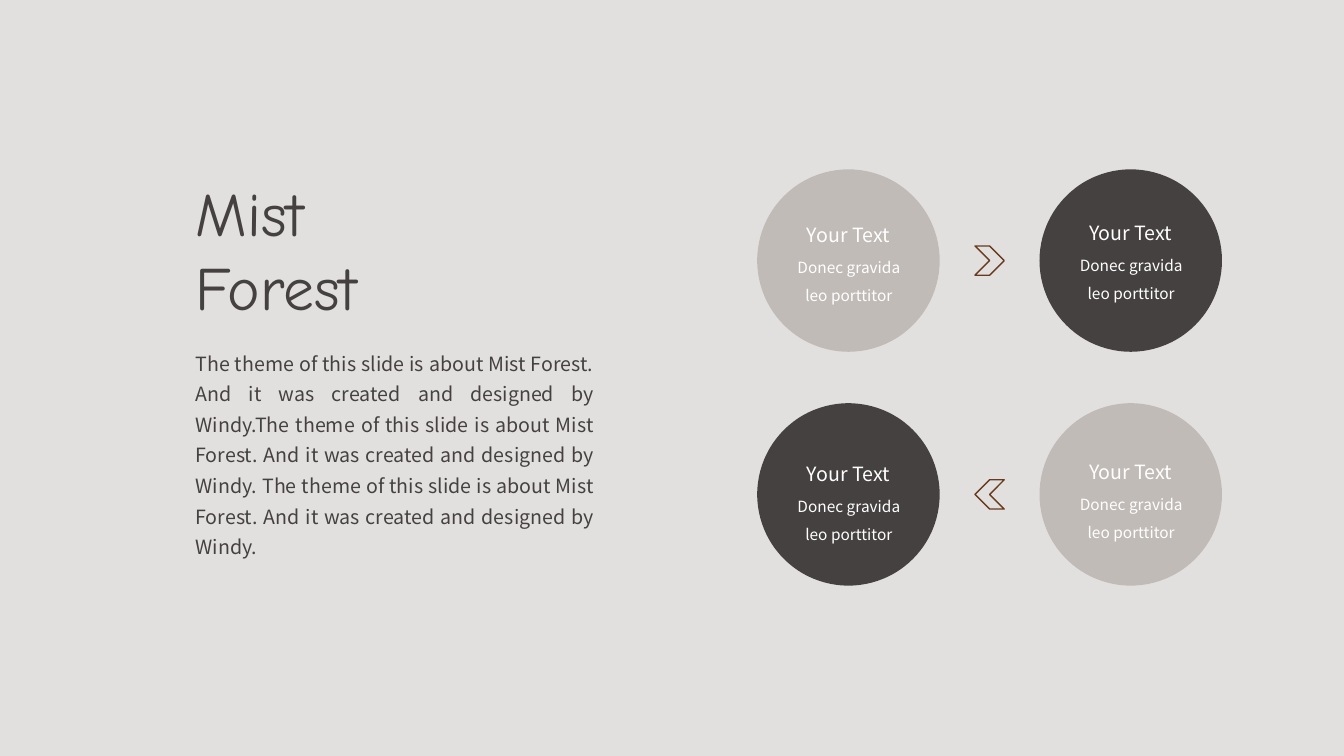
from pptx import Presentation
from pptx.dml.color import RGBColor
from pptx.enum import shapes, text
from pptx.util import Inches, Pt

MIST = RGBColor(0xE2, 0xE0, 0xDF)
STONE = RGBColor(0xC1, 0xBB, 0xB7)
DARK = RGBColor(0x45, 0x41, 0x40)
RUST = RGBColor(0x68, 0x39, 0x1D)
WHITE = RGBColor(0xFF, 0xFF, 0xFF)
SANS, HAND = "Noto Sans CJK JP", "Comic Neue"

TITLE = ["Mist", "Forest"]
INTRO = ("The theme of this slide is about Mist Forest. And it was created and "
         "designed by Windy.The theme of this slide is about Mist Forest. And it "
         "was created and designed by Windy. The theme of this slide is about "
         "Mist Forest. And it was created and designed by Windy.")
HEAD, BODY = "Your Text", "Donec gravida leo porttitor"
# column, row, fill, heading drop below the circle's top
STEPS = [
    (0, 0, STONE, 0.53),
    (1, 0, DARK, 0.51),
    (0, 1, DARK, 0.58),
    (1, 1, STONE, 0.56),
]
TURNS = [0, 180]  # arrow rotation in each row

LEFT, TOP, DIAM = 7.51, 1.68, 1.81
COL, ROW = 2.8, 2.32
ARROW = 0.29

prs = Presentation()
prs.slide_width, prs.slide_height = Inches(13.33), Inches(7.5)
slide = prs.slides.add_slide(prs.slide_layouts[6])
slide.background.fill.solid()
slide.background.fill.fore_color.rgb = MIST


def add_text(box, lines, size, color, align, font=SANS, space=1.0,
             inset=(0.1, 0.05), anchor=text.MSO_ANCHOR.TOP):
    frame = slide.shapes.add_textbox(*map(Inches, box)).text_frame
    frame.word_wrap = True
    frame.vertical_anchor = anchor
    frame.margin_left = frame.margin_right = Inches(inset[0])
    frame.margin_top = frame.margin_bottom = Inches(inset[1])
    frame.text = "\n".join(lines)
    for para in frame.paragraphs:
        para.alignment = align
        para.line_spacing = space
        para.font.name = font
        para.font.size = Pt(size)
        para.font.color.rgb = color


def add_shape(kind, left, top, size):
    shape = slide.shapes.add_shape(
        kind, Inches(left), Inches(top), Inches(size), Inches(size))
    shape.shadow.inherit = False
    return shape


for col, row, fill, drop in STEPS:
    x, y = LEFT + col * COL, TOP + row * ROW
    disc = add_shape(shapes.MSO_SHAPE.OVAL, x, y, DIAM)
    disc.fill.solid()
    disc.fill.fore_color.rgb = fill
    disc.line.fill.background()
    add_text((x + 0.25, y + drop + 0.21, 1.32, 0.63), [BODY], 11, WHITE,
             text.PP_ALIGN.CENTER, space=1.5)
    add_text((x + 0.12, y + drop, 1.57, 0.24), [HEAD], 14, WHITE,
             text.PP_ALIGN.CENTER, inset=(0, 0))

for row, turn in enumerate(TURNS):
    arrow = add_shape(shapes.MSO_SHAPE.CHEVRON,
                      LEFT + (COL + DIAM - ARROW) / 2,
                      TOP + row * ROW + (DIAM - ARROW) / 2, ARROW)
    arrow.rotation = turn
    arrow.fill.background()
    arrow.line.color.rgb = RUST
    arrow.line.width = Pt(1)

add_text((1.84, 1.68, 3.4, 1.58), TITLE, 44, DARK, text.PP_ALIGN.LEFT,
         font=HAND, anchor=text.MSO_ANCHOR.MIDDLE)
add_text((1.84, 3.37, 4.15, 2.53), [INTRO], 14, DARK, text.PP_ALIGN.JUSTIFY,
         space=1.3)

prs.save("out.pptx")
